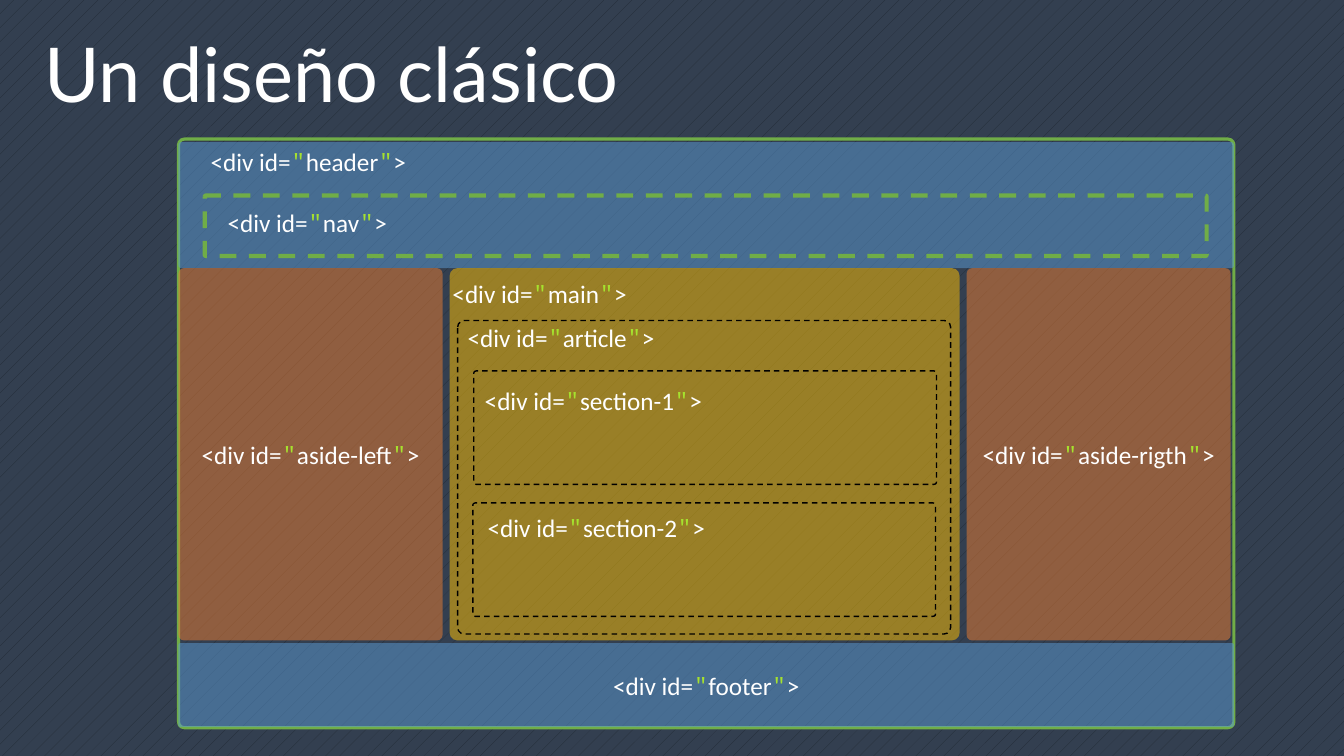
from dataclasses import dataclass
from typing import Optional

from lxml import etree
from pptx import Presentation
from pptx.dml.color import RGBColor
from pptx.enum.dml import MSO_LINE, MSO_PATTERN
from pptx.enum.shapes import MSO_SHAPE
from pptx.enum.text import MSO_ANCHOR, MSO_AUTO_SIZE, PP_ALIGN
from pptx.oxml.ns import qn
from pptx.util import Inches, Pt

ROUNDED = MSO_SHAPE.ROUNDED_RECTANGLE
DASH = MSO_LINE.DASH
DOTS = MSO_PATTERN.PERCENT_5
MIDDLE, TOP = MSO_ANCHOR.MIDDLE, MSO_ANCHOR.TOP
CENTER, LEFT = PP_ALIGN.CENTER, PP_ALIGN.LEFT
GROW = MSO_AUTO_SIZE.SHAPE_TO_FIT_TEXT


@dataclass(frozen=True)
class Theme:
    """Colours, fonts and type sizes of the slide."""
    back: str = "333F50"
    dots: str = "222A35"
    text: str = "FFFFFF"
    quote: str = "A6E22E"
    blue: str = "5B9BD5"
    gold: str = "FFC000"
    orange: str = "ED7D31"
    green: str = "70AD47"
    black: str = "000000"
    title_font: str = "Lato"
    code_font: str = "Calibri"
    quote_font: str = "Noto Sans Mono"
    title_size: float = 54
    code_size: float = 18
    opacity: int = 50


@dataclass(frozen=True)
class Area:
    """A rectangle in percent of the slide's width and height."""
    left: float
    top: float
    width: float
    height: float


@dataclass(frozen=True)
class Block:
    """A box of the page layout; without an offset its name is centred."""
    area: Area
    name: str = ""
    fill: Optional[str] = None
    line: Optional[str] = None
    weight: float = 1
    dashed: bool = True
    corner: float = 0.021
    offset: Optional[tuple[float, float]] = None


THEME = Theme()
PAGE = Area(13.28, 18.4, 78.53, 77.87)
LABEL_WIDTH, LABEL_HEIGHT = 23.48, 5.33
BODY_TOP, BODY_HEIGHT = 35.47, 49.25
ASIDE_WIDTH, MAIN_WIDTH, GAP = 19.65, 37.95, 0.52
MAIN_LEFT = PAGE.left + ASIDE_WIDTH + GAP
RIGHT_LEFT = MAIN_LEFT + MAIN_WIDTH + GAP


def band(top: float, height: float) -> Area:
    """Return a band as wide as the page."""
    return Area(PAGE.left, top, PAGE.width, height)


def column(left: float, width: float) -> Area:
    """Return a column as high as the page body."""
    return Area(left, BODY_TOP, width, BODY_HEIGHT)


BLOCKS = [
    Block(PAGE, line=THEME.green, weight=2.25, dashed=False, corner=0.01),
    Block(band(18.8, 16.67), "header", fill=THEME.blue, offset=(1.65, -0.13)),
    Block(band(85.07, 11.07), "footer", fill=THEME.blue),
    Block(Area(15.23, 25.87, 74.55, 8), "nav", line=THEME.green, weight=3, offset=(0.97, 0.93)),
    Block(column(MAIN_LEFT, MAIN_WIDTH), "main", fill=THEME.gold, offset=(-0.52, 0.66)),
    Block(column(PAGE.left, ASIDE_WIDTH), "aside-left", fill=THEME.orange),
    Block(column(RIGHT_LEFT, ASIDE_WIDTH), "aside-rigth", fill=THEME.orange),
    Block(Area(34.05, 42.4, 36.68, 41.47), "article", line=THEME.black, offset=(0, -0.4)),
    Block(Area(35.25, 49.07, 34.43, 15), "section-1", line=THEME.black, offset=(0.08, 1.2)),
    Block(Area(35.18, 66.53, 34.43, 15), "section-2", line=THEME.black, offset=(0.37, 0.54)),
]

presentation = Presentation()
presentation.slide_width, presentation.slide_height = Inches(13.33), Inches(7.5)
slide = presentation.slides.add_slide(presentation.slide_layouts[6])


def place(area: Area) -> list[int]:
    """Turn percentages into lengths on the slide."""
    width, height = presentation.slide_width, presentation.slide_height
    return [round(share * full / 100) for share, full in (
        (area.left, width), (area.top, height), (area.width, width), (area.height, height))]


def add_run(paragraph, text: str, *, font: str, size: float, color: str) -> None:
    """Append a formatted run to a paragraph."""
    run = paragraph.add_run()
    run.text = text
    run.font.name, run.font.size = font, Pt(size)
    run.font.color.rgb = RGBColor.from_string(color)


def write_tag(shape, name: str, *, align=LEFT, anchor=TOP) -> None:
    """Write the opening div tag with coloured quotation marks."""
    shape.text_frame.vertical_anchor = anchor
    paragraph = shape.text_frame.paragraphs[0]
    paragraph.alignment = align
    for text in ("<div id=", '"', name, '"', ">"):
        quoted = text == '"'
        add_run(paragraph, text, size=THEME.code_size,
                font=THEME.quote_font if quoted else THEME.code_font,
                color=THEME.quote if quoted else THEME.text)


def add_text_box(area: Area):
    """Add a wrapping text box that grows with its text."""
    shape = slide.shapes.add_textbox(*place(area))
    shape.text_frame.word_wrap = True
    shape.text_frame.auto_size = GROW
    return shape


def add_block(block: Block) -> None:
    """Draw a box with its fill, outline and centred name."""
    shape = slide.shapes.add_shape(ROUNDED, *place(block.area))
    shape.shadow.inherit = False
    shape.adjustments[0] = block.corner
    if block.fill:
        shape.fill.solid()
        shape.fill.fore_color.rgb = RGBColor.from_string(block.fill)
        color = shape.fill._xPr.find(qn("a:solidFill"))[0]
        etree.SubElement(color, qn("a:alpha")).set("val", str(THEME.opacity * 1000))
    else:
        shape.fill.background()
    if block.line:
        shape.line.color.rgb = RGBColor.from_string(block.line)
        shape.line.width = Pt(block.weight)
        if block.dashed:
            shape.line.dash_style = DASH
    else:
        shape.line.fill.background()
    if block.name and block.offset is None:
        write_tag(shape, block.name, align=CENTER, anchor=MIDDLE)


def add_label(block: Block) -> None:
    """Write a box's name at its offset from the box corner."""
    across, down = block.offset
    area = Area(block.area.left + across, block.area.top + down, LABEL_WIDTH, LABEL_HEIGHT)
    write_tag(add_text_box(area), block.name)


background = slide.background.fill
background.patterned()
background.pattern = DOTS
background.fore_color.rgb = RGBColor.from_string(THEME.dots)
background.back_color.rgb = RGBColor.from_string(THEME.back)

title = add_text_box(Area(2.55, 2.93, 94.88, 13.47))
add_run(title.text_frame.paragraphs[0], "Un diseño clásico",
        font=THEME.title_font, size=THEME.title_size, color=THEME.text)
for block in BLOCKS:
    add_block(block)
for block in BLOCKS:
    if block.offset is not None:
        add_label(block)

presentation.save("out.pptx")
